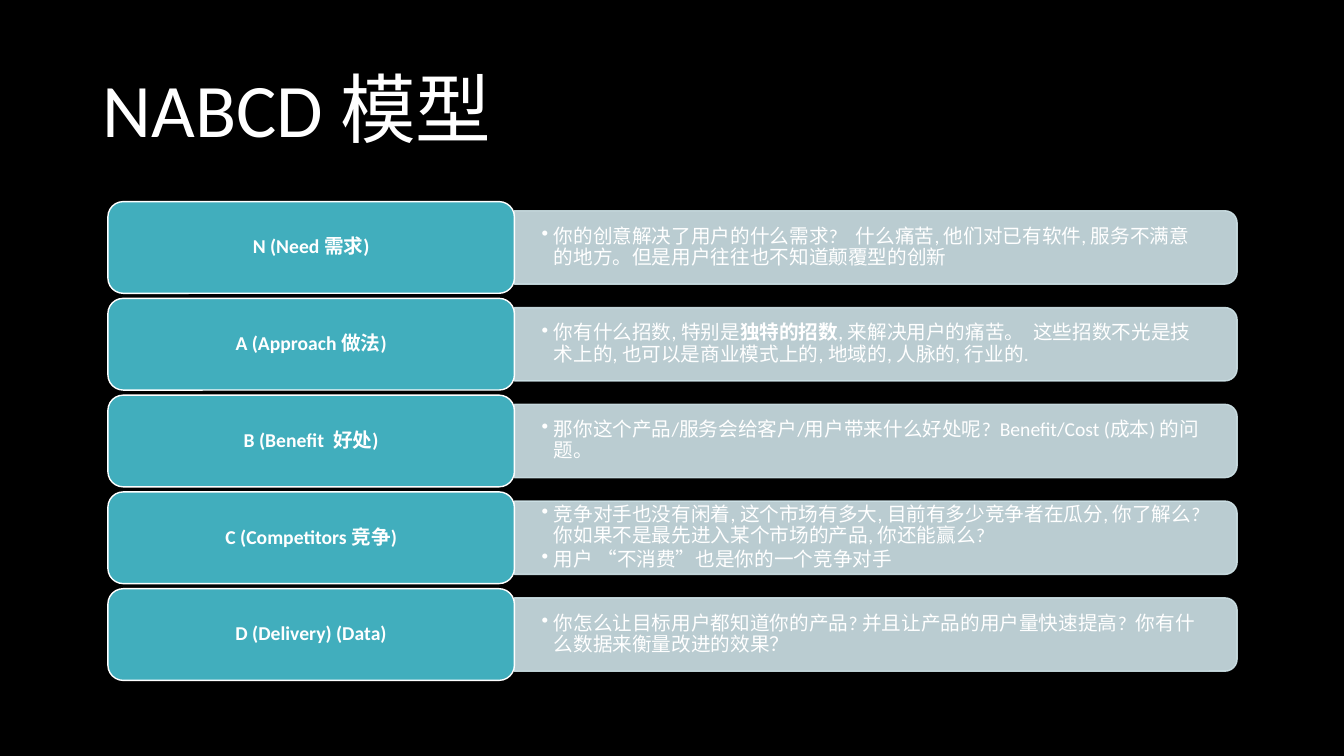
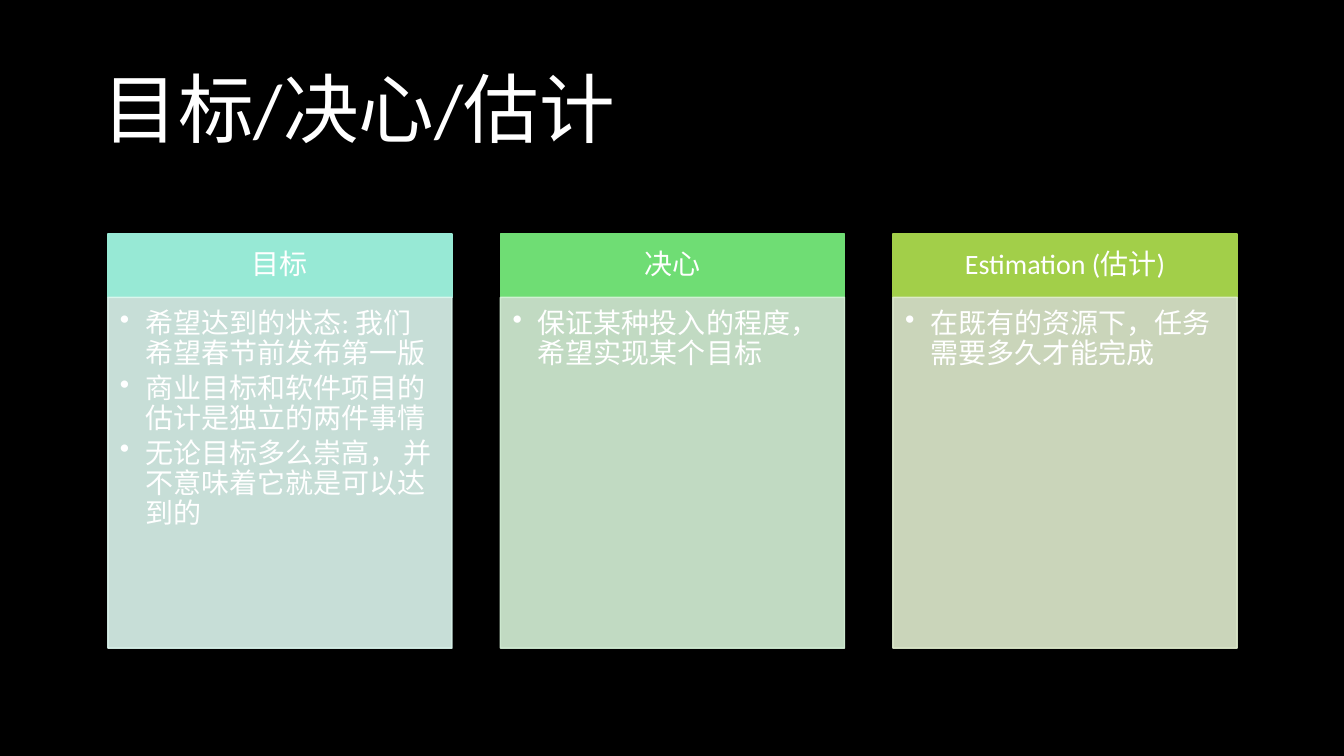
import pptx
import pptx.util
import pptx.dml.color
import pptx.enum.shapes
import pptx.enum.text
import pptx.oxml.ns
import lxml.etree

WIDE, HIGH = 13.33, 7.5
LEFT, SPAN = 1.07, 11.2
WHITE, BLACK = "FFFFFF", "000000"
TEAL, MIST = "41AEBD", "CFE3E8"
FONT = "Calibri"
KIND = pptx.enum.shapes.MSO_SHAPE
MID = pptx.enum.text.MSO_ANCHOR.MIDDLE
TOP = pptx.enum.text.MSO_ANCHOR.TOP
CENTER = pptx.enum.text.PP_ALIGN.CENTER

MODEL = "NABCD 模型"
ROWS = [
    ("N (Need 需求)", ["你的创意解决了用户的什么需求?    什么痛苦, 他们对已有软件, 服务不满意的地方。但是用户往往也不知道颠覆型的创新"]),
    ("A (Approach 做法)", ["你有什么招数, 特别是*独特的招数*, 来解决用户的痛苦。  这些招数不光是技术上的, 也可以是商业模式上的, 地域的, 人脉的, 行业的."]),
    ("B (Benefit  好处)", ["那你这个产品/服务会给客户/用户带来什么好处呢?  Benefit/Cost (成本) 的问题。"]),
    ("C (Competitors 竞争)", [
        "竞争对手也没有闲着, 这个市场有多大, 目前有多少竞争者在瓜分, 你了解么? 你如果不是最先进入某个市场的产品, 你还能赢么?",
        "用户 “不消费”也是你的一个竞争对手"]),
    ("D (Delivery) (Data)", ["你怎么让目标用户都知道你的产品? 并且让产品的用户量快速提高?  你有什么数据来衡量改进的效果？"]),
]

GOALS = "目标/决心/估计"
COLS = [
    ("目标", "97E9D5", "DDF7EF", [
        "希望达到的状态: 我们希望春节前发布第一版",
        "商业目标和软件项目的估计是独立的两件事情",
        "无论目标多么崇高， 并不意味着它就是可以达到的"]),
    ("决心", "6FDD74", "D6F2D8", ["保证某种投入的程度，希望实现某个目标"]),
    ("Estimation (估计)", "A2CF49", "E0EDCF", ["在既有的资源下，任务需要多久才能完成"]),
]

SIDES = ("margin_left", "margin_top", "margin_right", "margin_bottom")


def rgb(code):
    return pptx.dml.color.RGBColor.from_string(code)


def inch(*nums):
    return [pptx.util.Inches(n) for n in nums]


def apply(item, form):
    for name, value in form.items():
        setattr(item, name, value)


def write(shape, lines, size, pads, anchor=MID, align=None, bold=False, dent=0, after=0):
    frame = shape.text_frame
    apply(frame, {"word_wrap": True, "vertical_anchor": anchor, **dict(zip(SIDES, inch(*pads)))})
    for num, line in enumerate(lines):
        para = frame.add_paragraph() if num else frame.paragraphs[0]
        if dent:
            props = para._p.get_or_add_pPr()
            step = pptx.util.Inches(dent)
            props.set("marL", str(step))
            props.set("indent", str(-step))
            mark = lxml.etree.SubElement(props, pptx.oxml.ns.qn("a:buChar"))
            mark.set("char", "•")
        apply(para, {"line_spacing": 0.9, "space_after": pptx.util.Pt(after), "alignment": align})
        for part, text in enumerate(line.split("*")):
            run = para.add_run()
            run.text = text
            apply(run.font, {"name": FONT, "size": pptx.util.Pt(size), "bold": bold or part % 2 == 1})
            run.font.color.rgb = rgb(WHITE)


def block(slide, kind, area, fill, edge, clear=False, turn=0):
    shape = slide.shapes.add_shape(kind, *inch(*area))
    shape.shadow.inherit = False
    shape.rotation = turn
    shape.fill.solid()
    shape.fill.fore_color.rgb = rgb(fill)
    shape.line.color.rgb = rgb(edge)
    shape.line.width = pptx.util.Pt(1)
    if clear:
        for tone in shape.element.spPr.iter(pptx.oxml.ns.qn("a:srgbClr")):
            lxml.etree.SubElement(tone, pptx.oxml.ns.qn("a:alpha")).set("val", "90000")
    return shape


def start(deck, title):
    slide = deck.slides.add_slide(deck.slide_layouts[6])
    slide.background.fill.solid()
    slide.background.fill.fore_color.rgb = rgb(BLACK)
    box = slide.shapes.add_textbox(*inch(0.92, 0.4, 11.5, 1.45))
    write(box, [title], 54, (0.1, 0.05, 0.1, 0.05))
    return slide


def model(deck):
    slide = start(deck, MODEL)
    top, pitch, tall = 2, 0.96, 0.91
    label = SPAN * 0.36
    edge, long, thin = LEFT + label, SPAN - label, tall * 0.8
    for num, (name, notes) in enumerate(ROWS):
        y = top + num * pitch
        mid = y + tall / 2
        area = (edge + (long - thin) / 2, mid - long / 2, thin, long)
        block(slide, KIND.ROUND_2_SAME_RECTANGLE, area, MIST, MIST, True, 90)
        box = slide.shapes.add_textbox(*inch(edge, mid - 0.33, long - 0.04, 0.66))
        write(box, notes, 14, (0.27, 0.14, 0.27, 0.14), dent=0.12, after=2)
        tag = block(slide, KIND.ROUNDED_RECTANGLE, (LEFT, y, label, tall), TEAL, WHITE)
        write(tag, [name], 14, (0.1, 0.07, 0.1, 0.07), align=CENTER, bold=True)


def goals(deck):
    slide = start(deck, GOALS)
    top, head, tall, gap = 2.32, 0.63, 3.48, 0.48
    wide = (SPAN - gap * (len(COLS) - 1)) / len(COLS)
    for num, (name, dark, pale, notes) in enumerate(COLS):
        x = LEFT + num * (wide + gap)
        cap = block(slide, KIND.RECTANGLE, (x, top, wide, head), dark, dark)
        write(cap, [name], 20, (0.16, 0.09, 0.16, 0.09), align=CENTER)
        body = block(slide, KIND.RECTANGLE, (x, top + head, wide, tall), pale, pale, True)
        write(body, notes, 20, (0.12, 0.12, 0.16, 0.17), TOP, pptx.enum.text.PP_ALIGN.LEFT, dent=0.25, after=3)


def main():
    deck = pptx.Presentation()
    deck.slide_width, deck.slide_height = inch(WIDE, HIGH)
    model(deck)
    goals(deck)
    deck.save("out.pptx")


if __name__ == "__main__":
    main()
